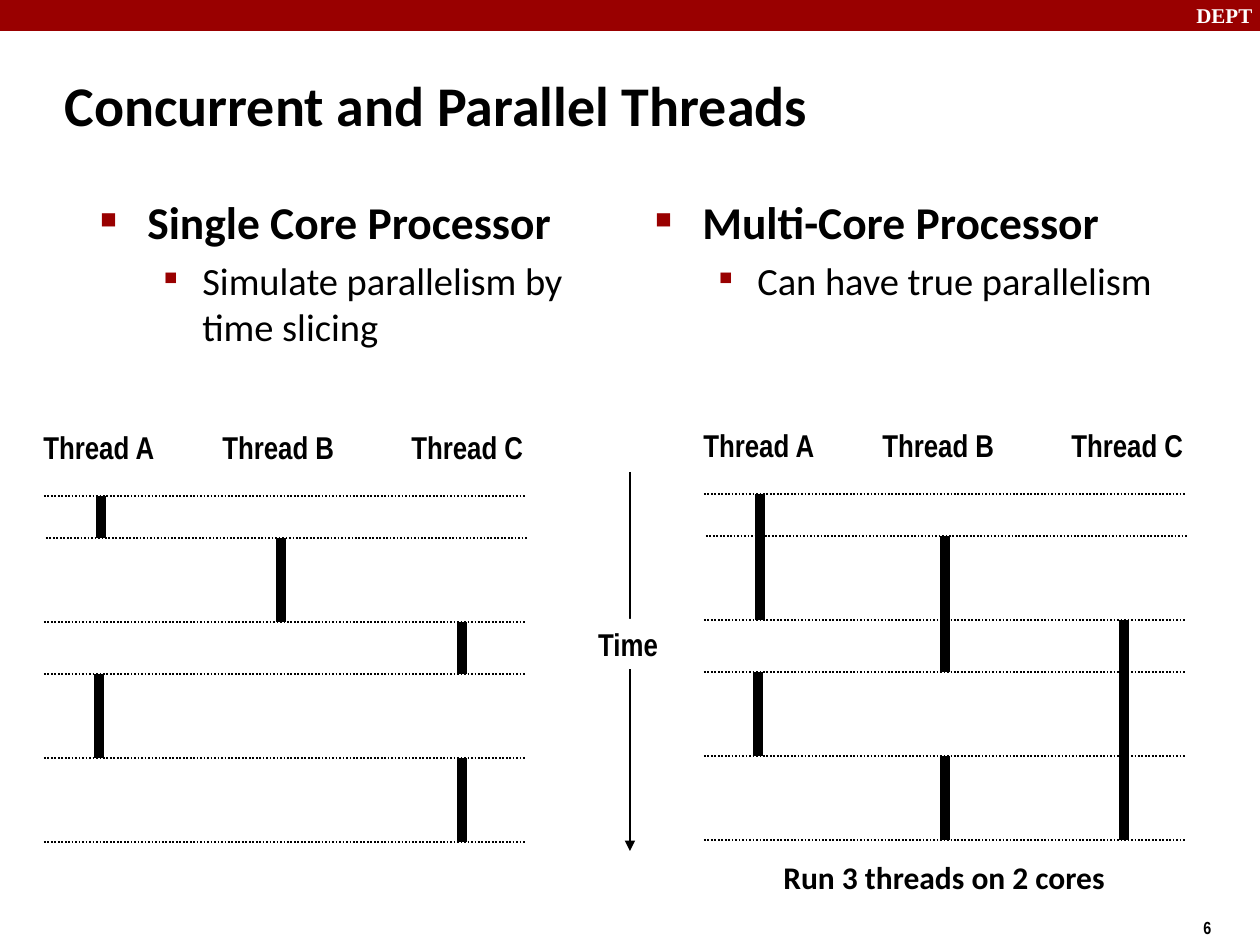
from lxml import etree
from pptx import Presentation
from pptx.dml.color import RGBColor
from pptx.enum.dml import MSO_LINE
from pptx.enum.shapes import MSO_CONNECTOR, MSO_SHAPE
from pptx.enum.text import MSO_ANCHOR, MSO_AUTO_SIZE, PP_ALIGN
from pptx.oxml.ns import qn
from pptx.util import Emu, Pt

PX = 914400 // 126  # EMU per px
STRAIGHT = MSO_CONNECTOR.STRAIGHT
RECT = MSO_SHAPE.RECTANGLE
DOTTED = MSO_LINE.ROUND_DOT
LEFT, CENTER = PP_ALIGN.LEFT, PP_ALIGN.CENTER
COLORS = {"black": "000000", "white": "FFFFFF", "red": "990000"}
NARROW, BODY, SERIF = "Arial Narrow", "Calibri", "Times New Roman"

# Time marks and thread bars: (x, first mark, last mark), relative to the chart
MARKS = [0, 42, 126, 178, 262, 346]
LABELS = {"Thread A": -13, "Thread B": 166, "Thread C": 355}
SINGLE_CORE = [(57, 0, 1), (237, 1, 2), (418, 2, 3), (55, 3, 4), (418, 4, 5)]
MULTI_CORE = [(56, 0, 2), (241, 1, 3), (420, 2, 5), (54, 3, 4), (241, 4, 5)]


def rgb(name):
    return RGBColor.from_string(COLORS[name])


def px(*values):
    return [Emu(v * PX) for v in values]


def style(p, size, font=NARROW, color="black", bold=True):
    for r in p.runs:
        r.font.size, r.font.name, r.font.bold = Pt(size), font, bold
        r.font.color.rgb = rgb(color)


def add_text(s, box, text, size, font=NARROW, color="black", wrap=False):
    sp = s.shapes.add_textbox(*px(*box))
    tf = sp.text_frame
    tf.text = text
    tf.word_wrap = wrap
    style(tf.paragraphs[0], size, font, color)
    return sp


def add_rect(s, box, color):
    sp = s.shapes.add_shape(RECT, *px(*box))
    sp.shadow.inherit = False
    sp.fill.solid()
    sp.fill.fore_color.rgb = rgb(color)
    sp.line.fill.background()
    return sp


def add_line(s, x1, y1, x2, y2, width=1, dash=None, arrow=False):
    line = s.shapes.add_connector(STRAIGHT, *px(x1, y1, x2, y2))
    line.line.width = Pt(width)
    line.line.color.rgb = rgb("black")
    if dash:
        line.line.dash_style = dash
    if arrow:
        etree.SubElement(line.line._get_or_add_ln(), qn("a:tailEnd"), type="triangle")
    etree.SubElement(line._element.spPr, qn("a:effectLst"))


def set_bullet(p, char, percent, margin, indent):
    pPr = p._p.get_or_add_pPr()
    pPr.set("marL", str(margin * PX))
    pPr.set("indent", str(indent * PX))
    color = etree.SubElement(pPr, qn("a:buClr"))
    etree.SubElement(color, qn("a:srgbClr"), val=COLORS["red"])
    etree.SubElement(pPr, qn("a:buSzPct"), val=str(percent * 1000))
    etree.SubElement(pPr, qn("a:buFont"), typeface=NARROW)
    etree.SubElement(pPr, qn("a:buChar"), char=char)


def add_column(s, x, heading, detail):
    tf = add_text(s, (x, 188, 533, 685), heading, 26, BODY, wrap=True).text_frame
    p = tf.paragraphs[0]
    p.space_before = Pt(5.6)
    set_bullet(p, "■", 60, 47, -47)
    p = tf.add_paragraph()
    p.text = detail
    p.level = 1
    p.space_before = Pt(4.8)
    style(p, 22, BODY, bold=False)
    set_bullet(p, "▪", 110, 102, -39)


def add_thread_chart(s, x, y, bars):
    for label, dx in LABELS.items():
        # Wide enough to hold each label on one line
        add_text(s, (x + dx, y - 74, 150, 50), label, 18)
    for bar_x, first, last in bars:
        add_line(s, x + bar_x, y + MARKS[first], x + bar_x, y + MARKS[last], 6)
    for i, mark in enumerate(MARKS):
        left = x + (2 if i == 1 else 0)
        add_line(s, left, y + mark, left + 481, y + mark, dash=DOTTED)


def add_title(s, text):
    sp = s.shapes.title
    sp.left, sp.top, sp.width, sp.height = px(52, 52, 1046, 105)
    tf = sp.text_frame
    tf.text = text
    tf.auto_size = MSO_AUTO_SIZE.NONE
    tf.vertical_anchor = MSO_ANCHOR.MIDDLE
    tf.paragraphs[0].alignment = LEFT
    style(tf.paragraphs[0], 32, BODY)


def add_time_axis(s):
    add_line(s, 630, 472, 630, 851, arrow=True)
    sp = add_rect(s, (586, 619, 84, 50), "white")
    tf = sp.text_frame
    tf.text = "Time"
    tf.word_wrap = False
    tf.paragraphs[0].alignment = CENTER
    style(tf.paragraphs[0], 18)


def main():
    prs = Presentation()
    prs.slide_width, prs.slide_height = px(1260, 945)
    s = prs.slides.add_slide(prs.slide_layouts[5])

    # Header band and page number
    add_rect(s, (0, 0, 1260, 31), "red")
    add_text(s, (1184, -4, 84, 38), "DEPT", 12, SERIF, "white")
    add_text(s, (1191, 911, 94, 37), "6", 10)

    # Title and the two columns of text
    add_title(s, "Concurrent and Parallel Threads")
    add_column(s, 88, "Single Core Processor", "Simulate parallelism by time slicing")
    add_column(s, 643, "Multi-Core Processor", "Can have true parallelism")

    # Thread charts on either side of the time axis
    add_time_axis(s)
    add_thread_chart(s, 44, 496, SINGLE_CORE)
    add_thread_chart(s, 704, 494, MULTI_CORE)
    add_text(s, (771, 852, 360, 50), "Run 3 threads on 2 cores", 18, BODY)

    prs.save("out.pptx")


if __name__ == "__main__":
    main()
